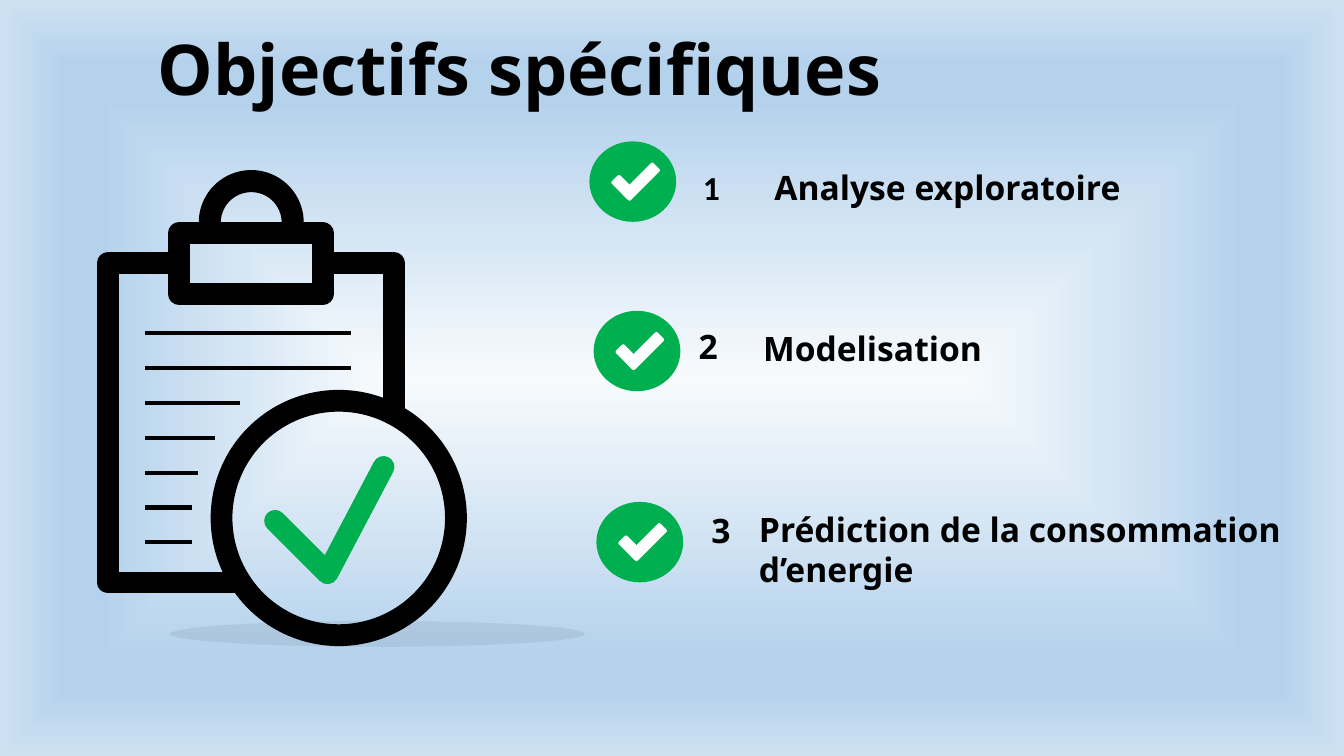
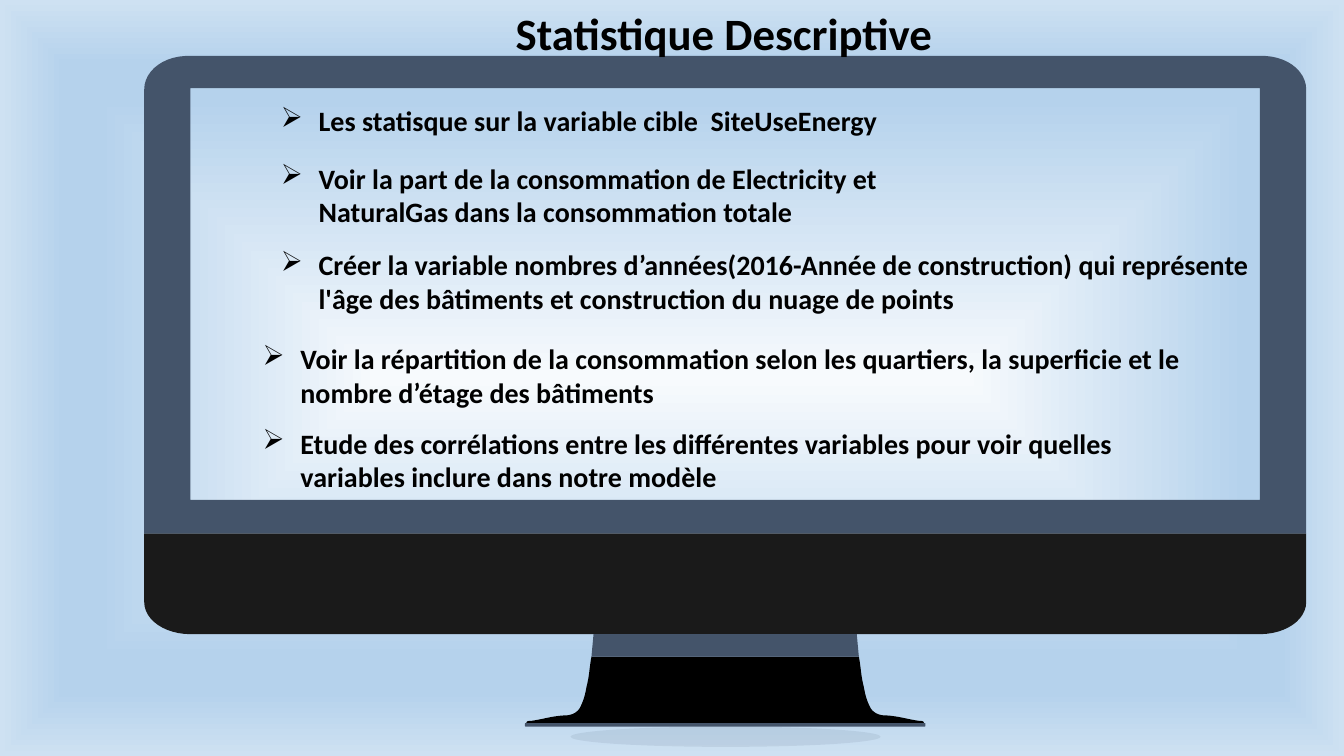
from pptx import Presentation, oxml
from pptx.dml import color as dml
from pptx.enum import shapes, text
from pptx.oxml import ns
from pptx.util import Pt

COLORS = {
    "ink": "000000",
    "green": "00B050",
    "white": "FFFFFF",
    "slate": "44546A",
    "chin": "1A1A1A",
}
BACKDROP = [(0, "F7FAFD"), (74, "B5D2EC"), (83, "B5D2EC"), (100, "CEE1F2")]
HEADING_FONT = "Noto Sans"
BODY_FONT = "Calibri"
STROKE = 15.5
SCREEN_WIDTH = 830

OBJECTIVES = [
    ("1", BODY_FONT, "Analyse exploratoire", (421, 101), (74, 15), (125, 15), 286),
    ("2", HEADING_FONT, "Modelisation", (424, 222), (68, 7), (114, 8.5), 209),
    ("3", HEADING_FONT, "Prédiction de la consommation d’energie",
     (426, 358.5), (75, 2), (109, 1.5), 422),
]
STATISTICS = [
    ("Les statisque sur la variable cible  SiteUseEnergy", 90.5, 31.5, 534),
    ("Voir la part de la consommation de Electricity et NaturalGas "
     "dans la consommation totale", 90.5, 72.5, 528),
    ("Créer la variable nombres d’années(2016-Année de construction) qui représente "
     "l'âge des bâtiments et construction du nuage de points", 90.5, 134.5, 726.5),
    ("Voir la répartition de la consommation selon les quartiers, la superficie et le "
     "nombre d’étage des bâtiments", 77.5, 201.5, 739.5),
    ("Etude des corrélations entre les différentes variables pour voir quelles "
     "variables inclure dans notre modèle", 77.5, 262, 640),
]


def rgb(name):
    return dml.RGBColor.from_string(COLORS[name])


def set_backdrop(master):
    stops = "".join(
        f'<a:gs pos="{position * 1000}"><a:srgbClr val="{value}"/></a:gs>'
        for position, value in BACKDROP
    )
    background = oxml.parse_xml(
        f'<p:bg {ns.nsdecls("p", "a")}><p:bgPr><a:gradFill rotWithShape="1">'
        f'<a:gsLst>{stops}</a:gsLst><a:path path="shape">'
        '<a:fillToRect l="50000" t="50000" r="50000" b="50000"/></a:path>'
        "</a:gradFill><a:effectLst/></p:bgPr></p:bg>"
    )
    common = master.element.cSld
    for old in common.xpath("p:bg"):
        common.remove(old)
    common.insert(0, background)


def paint(shape, color, alpha=None):
    shape.shadow.inherit = False
    shape.fill.solid()
    shape.fill.fore_color.rgb = rgb(color)
    shape.line.fill.background()
    if alpha is not None:
        value = shape.fill._xPr.find(".//" + ns.qn("a:srgbClr"))
        value.append(oxml.parse_xml(
            f'<a:alpha {ns.nsdecls("a")} val="{alpha * 1000}"/>'))


def add_preset(slide, kind, box, color, alpha=None):
    shape = slide.shapes.add_shape(kind, *map(Pt, box))
    paint(shape, color, alpha)
    return shape


def add_freeform(slide, origin, contours, closed=True):
    builder = None
    for contour in contours:
        points = [(Pt(x), Pt(y)) for x, y in contour]
        if builder is None:
            builder = slide.shapes.build_freeform(*points[0])
        else:
            builder.move_to(*points[0])
        builder.add_line_segments(points[1:], close=closed)
    return builder.convert_to_shape(*map(Pt, origin))


def add_stroke(slide, origin, points, color, closed=False, round_ends=False):
    shape = add_freeform(slide, origin, [points], closed)
    shape.shadow.inherit = False
    shape.fill.background()
    shape.line.color.rgb = rgb(color)
    shape.line.width = Pt(STROKE)
    line = shape.line._get_or_add_ln()
    if round_ends:
        line.set("cap", "rnd")
    line.append(oxml.parse_xml(f'<a:round {ns.nsdecls("a")}/>'))


def trace(start, *segments, steps=12):
    points = [start]
    for segment in segments:
        if len(segment) == 2:
            points.append(segment)
            continue
        x0, y0 = points[-1]
        x1, y1, x2, y2, x3, y3 = segment
        for step in range(1, steps + 1):
            t = step / steps
            weights = ((1 - t) ** 3, 3 * t * (1 - t) ** 2, 3 * t * t * (1 - t), t ** 3)
            points.append((
                sum(w * x for w, x in zip(weights, (x0, x1, x2, x3))),
                sum(w * y for w, y in zip(weights, (y0, y1, y2, y3))),
            ))
    return points


def mirrored(right_half):
    return right_half + [(SCREEN_WIDTH - x, y) for x, y in reversed(right_half)]


def add_text(slide, box, content, size, font, align=None, bullet=None, middle=False):
    frame = slide.shapes.add_textbox(*map(Pt, box)).text_frame
    frame.word_wrap = True
    if middle:
        frame.vertical_anchor = text.MSO_ANCHOR.MIDDLE
    paragraph = frame.paragraphs[0]
    paragraph.alignment = align
    run = paragraph.add_run()
    run.text = content
    run.font.size = Pt(size)
    run.font.name = font
    run.font.bold = True
    run.font.color.rgb = rgb("ink")
    if bullet:
        properties = paragraph._p.get_or_add_pPr()
        properties.set("marL", str(Pt(27)))
        properties.set("indent", str(-Pt(27)))
        properties.append(oxml.parse_xml(
            f'<a:buChar {ns.nsdecls("a")} char="{bullet}"/>'))


def add_title(slide, box, content, size, font, middle=False):
    add_text(slide, box, content, size, font, text.PP_ALIGN.CENTER, middle=middle)


def add_floor_shadow(slide, box):
    add_preset(slide, shapes.MSO_SHAPE.OVAL, box, "slate", alpha=10)


def draw_clipboard(slide, left, top):
    origin = (left, top)
    add_stroke(slide, origin, [(52, 66.5), (8, 66.5), (8, 294.5), (100, 294.5)], "ink")
    add_stroke(slide, origin, [(168, 66.5), (212.5, 66.5), (212.5, 170)], "ink")
    add_stroke(slide, origin, [(59, 45), (161.5, 45), (161.5, 88.5), (59, 88.5)],
               "ink", closed=True)
    arch = add_preset(slide, shapes.MSO_SHAPE.BLOCK_ARC, (left + 73, top, 75, 75), "ink")
    arch.adjustments[2] = 0.21
    ring = add_preset(slide, shapes.MSO_SHAPE.DONUT,
                      (left + 81.5, top + 157, 183, 183), "ink")
    ring.adjustments[0] = 0.085
    add_stroke(slide, origin, [(127.5, 250.5), (165, 288), (205, 212)],
               "green", round_ends=True)
    for row, length in enumerate((147, 147, 68, 50, 38, 34, 34)):
        x, y = left + 34.5, top + 116.5 + 24.9 * row
        line = slide.shapes.add_connector(
            shapes.MSO_CONNECTOR.STRAIGHT, Pt(x), Pt(y), Pt(x + length), Pt(y))
        line.line.color.rgb = rgb("ink")
        line.line.width = Pt(3)
        line._element.spPr.append(oxml.parse_xml(f'<a:effectLst {ns.nsdecls("a")}/>'))


def draw_badge(slide, left, top):
    add_preset(slide, shapes.MSO_SHAPE.OVAL, (left, top, 62, 57.5), "green")
    for x, y, width, angle in ((15.5, 28.5, 18, 45), (21, 24.5, 31.5, 135)):
        arm = add_preset(slide, shapes.MSO_SHAPE.ROUNDED_RECTANGLE,
                         (left + x, top + y, width, 8.5), "white")
        arm.rotation = angle


def draw_objective(slide, number, number_font, label, origin, number_at, label_at, width):
    left, top = origin
    draw_badge(slide, left, top)
    add_text(slide, (left + number_at[0], top + number_at[1], 40, 36),
             number, 24, number_font)
    add_text(slide, (left + label_at[0], top + label_at[1], width, 36),
             label, 24, HEADING_FONT)


def draw_monitor(slide, left, top):
    chin = trace((830, 342), (830, 391), (830, 404, 815, 414, 797, 414))
    frame = trace((796, 1), (815, 0, 830, 11, 830, 25), (830, 342))
    window = [(797, 24), (797, 318)]
    foot = trace(
        (510.5, 430),
        (512, 438, 512, 444, 514, 451.5),
        (515, 457, 516, 461.5, 519, 467),
        (521, 470, 524, 471.5, 528, 472),
        (537, 472, 546, 475, 554, 476),
        (556, 476, 557, 476, 557, 478),
    )
    neck = [(509, 414), (510.5, 430)]
    parts = [
        ([chin], "chin"),
        ([frame, window], "slate"),
        ([foot], "ink"),
        ([neck], "slate"),
    ]
    for halves, color in parts:
        contours = [mirrored(half) for half in halves]
        paint(add_freeform(slide, (left, top), contours), color)
    add_preset(slide, shapes.MSO_SHAPE.ROUNDED_RECTANGLE,
               (left + 272, top + 477.5, 286, 2.5), "slate")


def build_objectives(slide):
    add_floor_shadow(slide, (121.5, 443.5, 296.5, 18.5))
    draw_clipboard(slide, 69, 121.5)
    add_title(slide, (54.5, 15, 633.5, 68), "Objectifs spécifiques", 50, HEADING_FONT)
    for objective in OBJECTIVES:
        draw_objective(slide, *objective)


def build_statistics(slide):
    left, top = 103, 39
    add_floor_shadow(slide, (407.5, 519, 221.5, 14.5))
    draw_monitor(slide, left, top)
    add_title(slide, (298, 8.5, 438.5, 30), "Statistique Descriptive", 32, BODY_FONT,
              middle=True)
    for content, x, y, width in STATISTICS:
        add_text(slide, (left + x, top + y, width, 55), content, 20, BODY_FONT, bullet="➢")


def main():
    presentation = Presentation()
    presentation.slide_width, presentation.slide_height = Pt(960), Pt(540)
    set_backdrop(presentation.slide_master)
    for build in (build_objectives, build_statistics):
        build(presentation.slides.add_slide(presentation.slide_layouts[6]))
    presentation.save("out.pptx")


if __name__ == "__main__":
    main()
